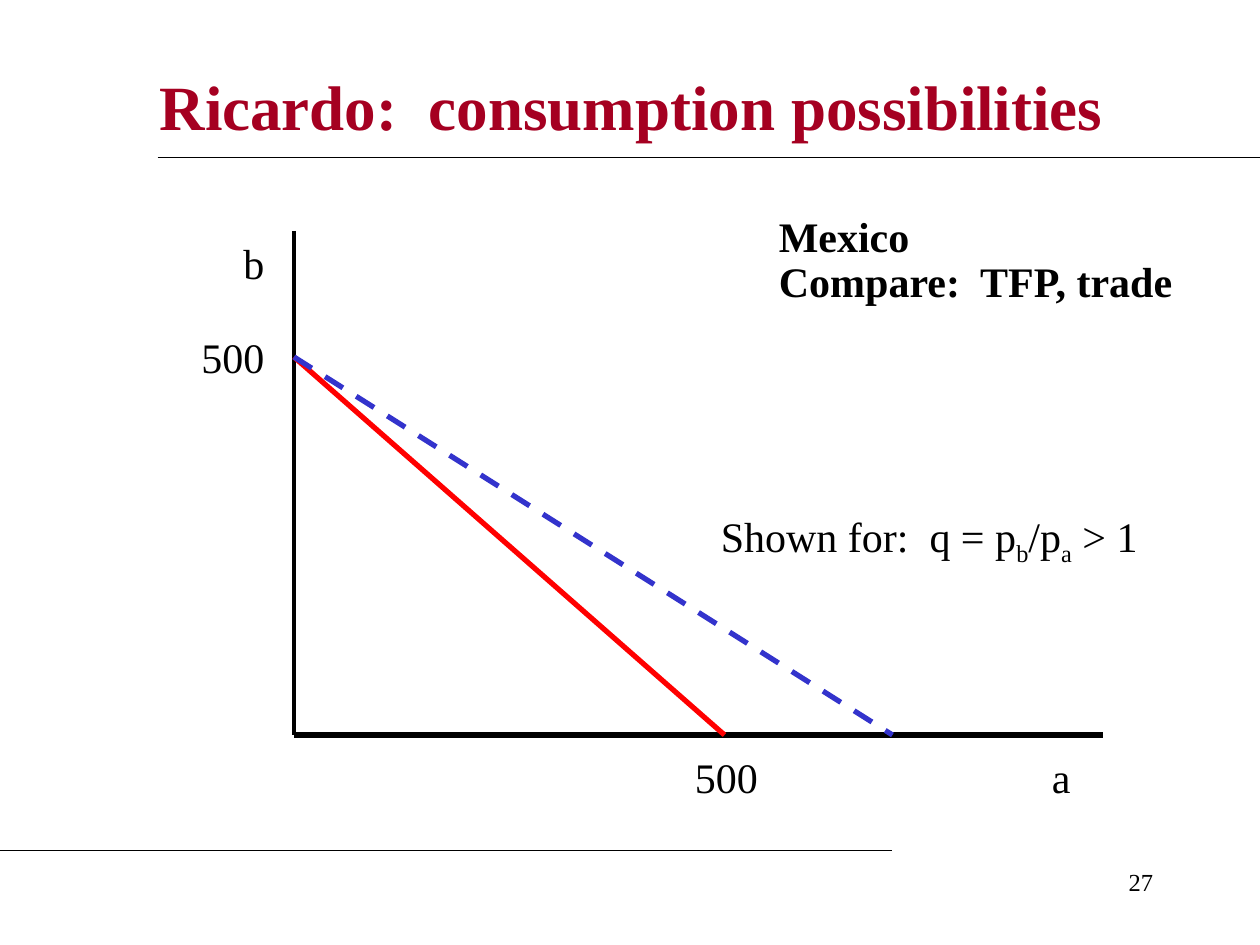
from dataclasses import dataclass

from lxml.etree import SubElement
from pptx import Presentation
from pptx.dml.color import RGBColor as Color
from pptx.enum.dml import MSO_LINE_DASH_STYLE as Dash
from pptx.enum.shapes import MSO_CONNECTOR as Connector
from pptx.enum.text import MSO_ANCHOR as Anchor, PP_ALIGN as Align
from pptx.oxml.ns import qn
from pptx.util import Inches, Pt

UNIT = Inches(1) // 12  # the page is a grid of 120 columns by 90 rows


@dataclass(frozen=True)
class Theme:
    font: str = "Times New Roman"
    ink: str = "000000"
    heading: str = "A50021"
    production: str = "FF0000"
    consumption: str = "3333CC"
    title_size: int = 36
    body_size: int = 24
    number_size: int = 14
    rule: float = 0.75
    upright: float = 2.25
    heavy: float = 3


@dataclass(frozen=True)
class Box:
    """Left, top, width and height in grid units."""
    left: float
    top: float
    width: float
    height: float

    def inner(self, left, top, width, height):
        return Box(self.left + left, self.top + top, width, height)

    def point(self, column, row):
        return round((self.left + column) * UNIT), round((self.top + row) * UNIT)

    def place(self, shape):
        shape.left, shape.top = self.point(0, 0)
        shape.width, shape.height = round(self.width * UNIT), round(self.height * UNIT)


THEME = Theme()


def style(para, size=THEME.body_size, color=THEME.ink, bold=False, align=Align.LEFT):
    para.alignment = align
    font = para.font
    font.name, font.size, font.bold = THEME.font, Pt(size), bold
    font.color.rgb = Color.from_string(color)


def add_line(page, start, end, width, color=THEME.ink, dash=None):
    line = page.shapes.add_connector(Connector.STRAIGHT, *start, *end)
    line.line.width = Pt(width)
    line.line.color.rgb = Color.from_string(color)
    if dash:
        line.line.dash_style = dash
    SubElement(line._element.spPr, qn("a:effectLst"))


def add_text(page, box, *lines, **look):
    """Add a text box with one paragraph per line and return its paragraphs."""
    shape = page.shapes.add_textbox(0, 0, 0, 0)
    box.place(shape)
    frame = shape.text_frame
    frame.word_wrap = True
    frame.text = "\n".join(lines)
    for para in frame.paragraphs:
        style(para, **look)
    return frame.paragraphs


def add_heading(page, box):
    title = page.shapes.title
    box.place(title)
    frame = title.text_frame
    frame.text = "Ricardo:  consumption possibilities"
    frame.vertical_anchor = Anchor.MIDDLE
    style(frame.paragraphs[0], THEME.title_size, THEME.heading, bold=True)
    add_line(page, box.point(1, 9.5), box.point(106, 9.5), THEME.rule)


def add_footer(page, box):
    add_line(page, box.point(0, 0), box.point(85, 0), THEME.rule)
    add_text(page, box.inner(86, 1, 25, 6), "27",
             size=THEME.number_size, align=Align.RIGHT)


def add_diagram(page, box):
    """Draw the axes, both frontiers and the axis labels."""
    base = box.height
    origin = box.point(0, base)
    intercept = box.point(0, 12)
    add_line(page, box.point(0, 0), origin, THEME.upright)
    add_line(page, origin, box.point(box.width, base), THEME.heavy)
    add_line(page, intercept, box.point(41, base), THEME.heavy, THEME.production)
    add_line(page, intercept, box.point(57, base), THEME.heavy, THEME.consumption,
             Dash.DASH)
    for label, left, top, width in (("b", -6, 0, 5), ("500", -10, 9, 9),
                                    ("500", 37, base + 1, 9), ("a", 71, base + 1, 6)):
        add_text(page, box.inner(left, top, width, 6), label)


def add_price_note(page, box):
    para = add_text(page, box, "", align=Align.CENTER)[0]
    for text, lowered in (("Shown for:  q = p", False), ("b", True), ("/p", False),
                          ("a", True), (" > 1", False)):
        span = para.add_run()
        span.text = text
        if lowered:
            span._r.get_or_add_rPr().set("baseline", "-25000")


def add_country_note(page, box):
    for para in add_text(page, box, "Mexico", "Compare:  TFP, trade", bold=True):
        para.line_spacing = 0.9


def main():
    deck = Presentation()
    deck.slide_width, deck.slide_height = 120 * UNIT, 90 * UNIT
    page = deck.slides.add_slide(deck.slide_layouts[5])
    add_heading(page, Box(14, 5.5, 97, 9))
    add_footer(page, Box(0, 81, 120, 9))
    add_diagram(page, Box(28, 22, 77, 48))
    add_price_note(page, Box(67, 48, 43, 6.7))
    add_country_note(page, Box(73, 20, 43, 9.8))
    deck.save("out.pptx")


if __name__ == "__main__":
    main()
